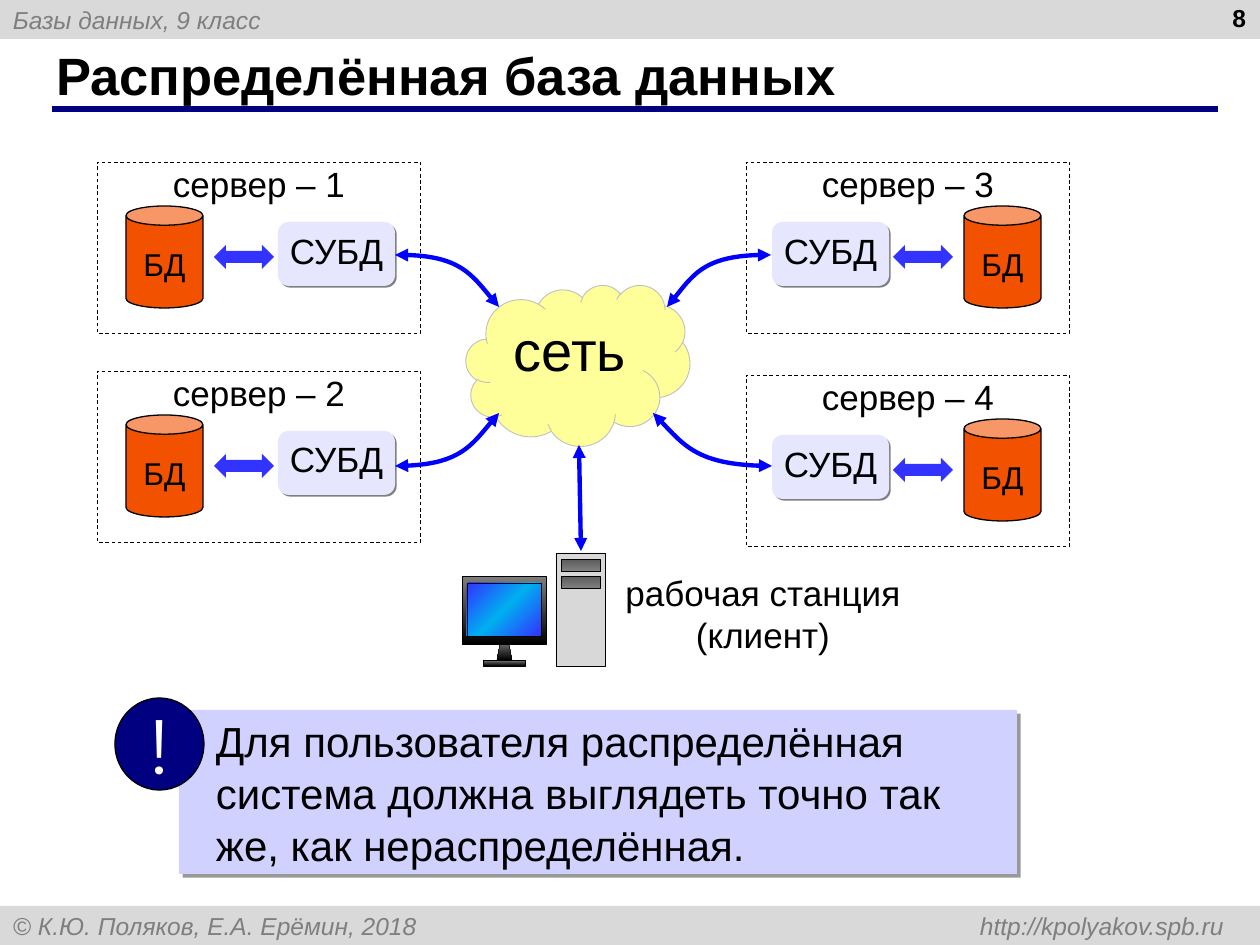
from dataclasses import dataclass
from typing import NamedTuple, Optional

from lxml import etree
from pptx import Presentation
from pptx.dml.color import RGBColor
from pptx.enum.dml import MSO_LINE
from pptx.enum.shapes import MSO_CONNECTOR, MSO_SHAPE
from pptx.enum.text import MSO_ANCHOR, PP_ALIGN
from pptx.oxml.ns import qn
from pptx.util import Emu, Pt

EMU_PER_PX = 914400 / 126

RECT, ROUNDED, OVAL = MSO_SHAPE.RECTANGLE, MSO_SHAPE.ROUNDED_RECTANGLE, MSO_SHAPE.OVAL
CAN, CLOUD, TRAPEZOID = MSO_SHAPE.CAN, MSO_SHAPE.CLOUD, MSO_SHAPE.TRAPEZOID
DOUBLE_ARROW = MSO_SHAPE.LEFT_RIGHT_ARROW
STRAIGHT = MSO_CONNECTOR.STRAIGHT
DASH = MSO_LINE.DASH
LEFT, CENTER, RIGHT = PP_ALIGN.LEFT, PP_ALIGN.CENTER, PP_ALIGN.RIGHT
TOP, MIDDLE = MSO_ANCHOR.TOP, MSO_ANCHOR.MIDDLE

BLACK, WHITE = RGBColor(0, 0, 0), RGBColor(255, 255, 255)
GRAY, SHADOW_GRAY = RGBColor(0x7F, 0x7F, 0x7F), RGBColor(0x80, 0x80, 0x80)
DARK_GRAY, CASE_GRAY = RGBColor(0x5A, 0x5A, 0x5A), RGBColor(0xD8, 0xD8, 0xD8)
BAND_GRAY, CLOUD_GRAY = RGBColor(0xD9, 0xD9, 0xD9), RGBColor(0xBF, 0xBF, 0xBF)
NAVY, BLUE = RGBColor(0, 0, 0x80), RGBColor(0, 0, 255)
ARROW_BLUE, SKY = RGBColor(0x33, 0x33, 0xFF), RGBColor(0, 0xB0, 0xF0)
ORANGE, YELLOW = RGBColor(0xF2, 0x51, 0), RGBColor(0xFF, 0xFF, 0x99)
LAVENDER, LILAC = RGBColor(0xE6, 0xE6, 0xFF), RGBColor(0xD1, 0xD1, 0xFF)

PADDING = (13, 6, 13, 6)
NO_PADDING = (0, 0, 0, 0)


class Area(NamedTuple):
    left: int
    top: int
    width: int
    height: int


class Shadow(NamedTuple):
    color: RGBColor
    opacity: int
    distance: float


class Server(NamedTuple):
    number: int
    left: int
    top: int
    mirrored: bool


@dataclass
class Label:
    text: str
    size: int
    color: RGBColor = BLACK
    font: str = "Arial"
    bold: bool = False
    italic: bool = False
    align: PP_ALIGN = CENTER
    anchor: MSO_ANCHOR = TOP
    insets: tuple = NO_PADDING
    spacing: Optional[float] = None
    wrap: bool = True


def px(length: float) -> Emu:
    return Emu(round(length * EMU_PER_PX))


def write(shape, label: Label) -> None:
    frame = shape.text_frame
    sides = ("margin_left", "margin_top", "margin_right", "margin_bottom")
    for side, inset in zip(sides, label.insets):
        setattr(frame, side, px(inset))
    frame.word_wrap = label.wrap
    frame.vertical_anchor = label.anchor
    frame.text = label.text
    font_format = {"name": label.font, "size": Pt(label.size),
                   "bold": label.bold, "italic": label.italic}
    for para in frame.paragraphs:
        para.alignment = label.align
        para.line_spacing = label.spacing
        for span in para.runs:
            span.font.color.rgb = label.color
            for name, value in font_format.items():
                setattr(span.font, name, value)


def add_box(page, kind, area: Area, fill=None, line=None, line_width=0.75,
            label: Optional[Label] = None, shadow: Optional[Shadow] = None):
    box = page.shapes.add_shape(kind, *map(px, area))
    box.shadow.inherit = False
    if fill is None:
        box.fill.background()
    else:
        box.fill.solid()
        box.fill.fore_color.rgb = fill
    if line is None:
        box.line.fill.background()
    else:
        box.line.color.rgb = line
        box.line.width = Pt(line_width)
    if label:
        write(box, label)
    if shadow:
        effects = box._element.spPr.find(qn("a:effectLst"))
        outer = etree.SubElement(effects, qn("a:outerShdw"), blurRad="0",
                                 dist=str(Pt(shadow.distance)), dir="2700000",
                                 algn="tl", rotWithShape="0")
        color = etree.SubElement(outer, qn("a:srgbClr"), val=str(shadow.color))
        etree.SubElement(color, qn("a:alpha"), val=str(shadow.opacity * 1000))
    return box


def add_text(page, area: Area, label: Label) -> None:
    write(page.shapes.add_textbox(*map(px, area)), label)


def add_gradient_box(page, kind, area: Area, colors: tuple, angle: int) -> None:
    """Box with evenly spaced colour stops; angle is clockwise degrees."""
    box = add_box(page, kind, area, line=BLACK, line_width=0.25)
    box.fill.gradient()
    box.fill.gradient_angle = 360 - angle
    stops = box._element.spPr.find(".//" + qn("a:gsLst"))
    stops.clear()
    for index, color in enumerate(colors):
        position = 100000 * index // (len(colors) - 1)
        stop = etree.SubElement(stops, qn("a:gs"), pos=str(position))
        etree.SubElement(stop, qn("a:srgbClr"), val=str(color))


def add_arrowheads(shape) -> None:
    outline = shape.get_or_add_ln()
    for end in ("a:headEnd", "a:tailEnd"):
        etree.SubElement(outline, qn(end), type="triangle")


def add_line(page, start: tuple, end: tuple, color: RGBColor, width: float):
    line = page.shapes.add_connector(STRAIGHT, *map(px, start + end))
    line.line.color.rgb = color
    line.line.width = Pt(width)
    etree.SubElement(line._element.spPr, qn("a:effectLst"))
    return line


def add_curve(page, controls: tuple, steps: int = 24) -> None:
    """Two-headed cubic curve through four control points."""
    points = []
    for step in range(steps + 1):
        t = step / steps
        weights = ((1 - t) ** 3, 3 * t * (1 - t) ** 2, 3 * t * t * (1 - t), t ** 3)
        points.append(tuple(px(sum(w * c for w, c in zip(weights, axis)))
                            for axis in zip(*controls)))
    builder = page.shapes.build_freeform(*points[0])
    builder.add_line_segments(points[1:], close=False)
    curve = builder.convert_to_shape()
    curve.shadow.inherit = False
    curve.fill.background()
    curve.line.color.rgb = BLUE
    curve.line.width = Pt(2.5)
    add_arrowheads(curve)


def add_server(page, server: Server) -> None:
    frame = Area(server.left, server.top, 324, 171)

    def inside(left: int, top: int, width: int, height: int) -> Area:
        if server.mirrored:
            left = frame.width - left - width
        return Area(frame.left + left, frame.top + top, width, height)

    border = add_box(page, RECT, frame, line=BLACK, line_width=0.5,
                     label=Label(f"сервер – {server.number}", 20))
    border.line.dash_style = DASH
    add_box(page, CAN, inside(29, 44, 77, 102), ORANGE, BLACK,
            label=Label("БД", 18, insets=(0, 20, 0, 0)))
    add_box(page, ROUNDED, inside(181, 60, 117, 64), LAVENDER,
            label=Label("СУБД", 20, anchor=MIDDLE, spacing=0.8),
            shadow=Shadow(SHADOW_GRAY, 100, 1.4))
    add_box(page, DOUBLE_ARROW, inside(117, 83, 60, 24), ARROW_BLUE)


def add_workstation(page) -> None:
    add_text(page, Area(607, 572, 312, 89), Label("рабочая станция\n(клиент)", 20))
    metal, slot = (GRAY, BLACK), (DARK_GRAY, GRAY)
    add_gradient_box(page, TRAPEZOID, Area(497, 640, 15, 20), metal, 90)
    add_gradient_box(page, RECT, Area(462, 576, 84, 68), metal, 90)
    add_gradient_box(page, RECT, Area(467, 583, 74, 53), (ARROW_BLUE, SKY, ARROW_BLUE), 45)
    add_gradient_box(page, RECT, Area(483, 660, 42, 6), metal, 90)
    add_box(page, RECT, Area(556, 553, 49, 113), CASE_GRAY, BLACK, 0.25)
    for top in (559, 576):
        add_gradient_box(page, RECT, Area(561, top, 39, 12), slot, 90)
    add_arrowheads(add_line(page, (581, 551), (579, 445), BLUE, 2.5))


def add_frame(page) -> None:
    band = {"size": 14, "color": GRAY, "italic": True, "align": LEFT,
            "anchor": MIDDLE, "insets": PADDING}
    add_box(page, RECT, Area(0, 0, 1260, 39), BAND_GRAY,
            label=Label("Базы данных, 9 класс", **band))
    footer = add_box(page, RECT, Area(0, 906, 1260, 39), BAND_GRAY, label=Label(
        "© К.Ю. Поляков, Е.А. Ерёмин, 2018 \thttp://kpolyakov.spb.ru", **band))
    properties = footer.text_frame.paragraphs[0]._p.get_or_add_pPr()
    tabs = etree.SubElement(properties, qn("a:tabLst"))
    etree.SubElement(tabs, qn("a:tab"), pos=str(px(1211)), algn="r")
    add_line(page, (52, 109), (1218, 109), NAVY, 3)
    add_text(page, Area(43, 42, 1154, 65), Label(
        "Распределённая база данных", 30, bold=True, align=LEFT,
        anchor=MIDDLE, insets=PADDING))
    add_text(page, Area(965, -3, 294, 66), Label(
        "8", 14, bold=True, align=RIGHT, insets=PADDING))


def add_callout(page) -> None:
    left, top, right, bottom = PADDING
    add_box(page, RECT, Area(179, 710, 838, 164), LILAC, shadow=Shadow(BLACK, 40, 3),
            label=Label("Для пользователя распределённая система должна выглядеть "
                        "точно так же, как нераспределённая.", 24, align=LEFT,
                        anchor=MIDDLE, insets=(left + 24, top, right, bottom),
                        spacing=1.03))
    add_box(page, OVAL, Area(115, 698, 89, 92), NAVY, BLACK, label=Label(
        "!", 44, WHITE, "Montserrat", anchor=MIDDLE, insets=PADDING, wrap=False))


SERVERS = (Server(3, 746, 162, True), Server(4, 746, 375, True),
           Server(1, 97, 162, False), Server(2, 97, 371, False))
NETWORK_LINKS = (
    ((771, 255), (699, 254), (693, 277), (667, 307)),
    ((395, 255), (465, 254), (472, 277), (499, 307)),
    ((395, 466), (465, 466), (472, 443), (499, 413)),
    ((772, 466), (692, 466), (683, 443), (653, 413)),
)


def main() -> None:
    deck = Presentation()
    deck.slide_width, deck.slide_height = px(1260), px(945)
    page = deck.slides.add_slide(deck.slide_layouts[6])
    add_frame(page)
    for server in SERVERS:
        add_server(page, server)
    add_box(page, CLOUD, Area(466, 285, 224, 161), YELLOW, CLOUD_GRAY, 0.5,
            label=Label("сеть", 32, insets=PADDING))
    for controls in NETWORK_LINKS:
        add_curve(page, controls)
    add_workstation(page)
    add_callout(page)
    deck.save("out.pptx")


if __name__ == "__main__":
    main()
